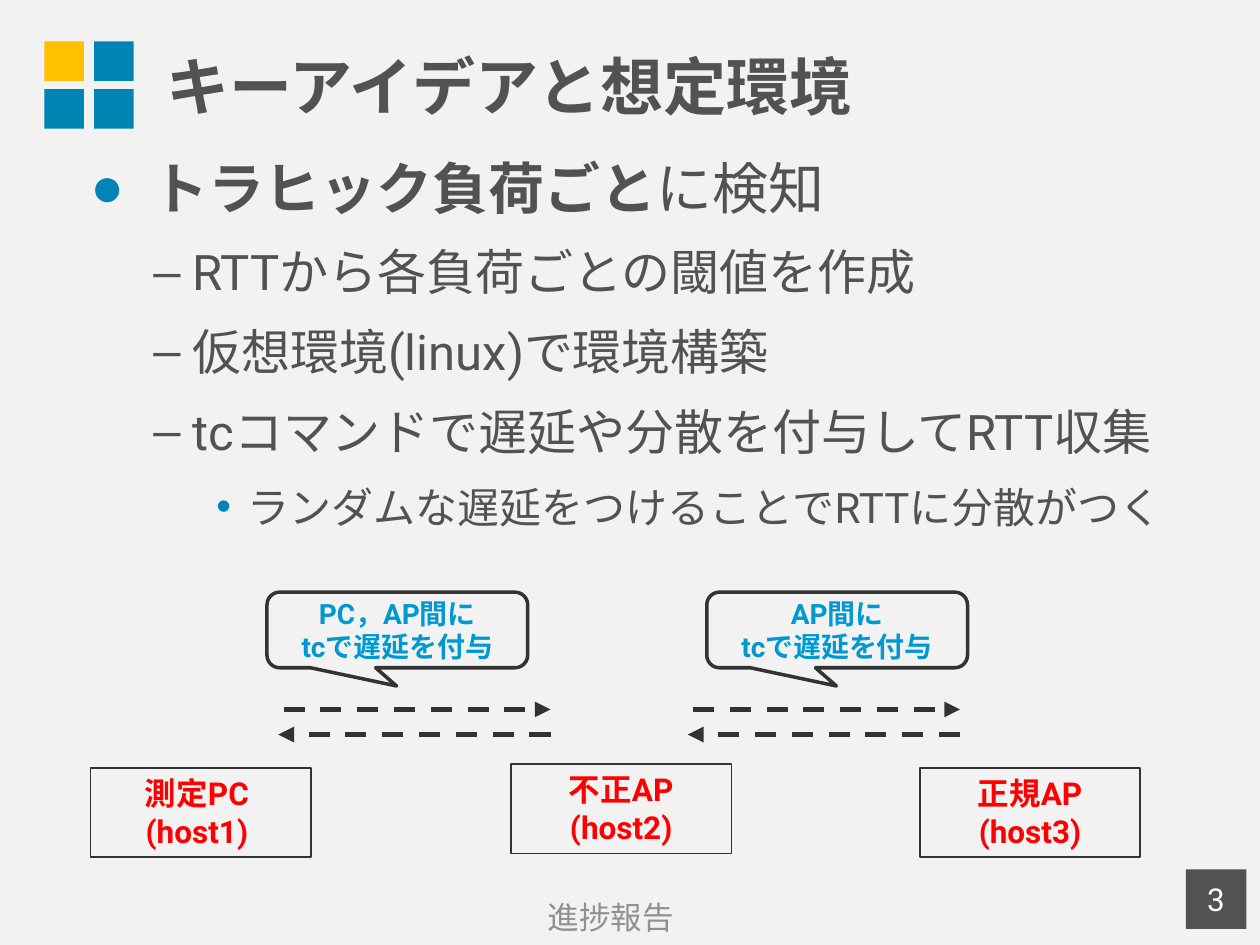
from itertools import product

from lxml.etree import SubElement
from pptx import Presentation
from pptx.dml.color import RGBColor
from pptx.enum.dml import MSO_LINE_DASH_STYLE as DASH
from pptx.enum.shapes import MSO_CONNECTOR as CONN, MSO_SHAPE as SHAPE
from pptx.enum.text import MSO_ANCHOR as ANCHOR, MSO_AUTO_SIZE as AUTO, PP_ALIGN as ALIGN
from pptx.oxml.ns import qn
from pptx.util import Pt

COLORS = {
    "back": "F2F2F2", "blue": "0084B4", "yellow": "FFC000", "text": "525252",
    "footer": "909090", "white": "FFFFFF", "border": "333333",
    "arrow": "323232", "host": "FF0000", "note": "0098D1",
}
FONT = "Roboto"


def rgb(name):
    return RGBColor.from_string(COLORS[name])


def write(p, text, size=18, color="text", bold=False, align=None):
    """Append text to a paragraph; a vertical tab makes a line break."""
    if align is not None:
        p.alignment = align
    for i, line in enumerate(text.split("\v")):
        if i:
            p.add_line_break()
        r = p.add_run()
        r.text = line
        r.font.name, r.font.size, r.font.bold = FONT, Pt(size), bold
        r.font.color.rgb = rgb(color)
        SubElement(r.font._element, qn("a:ea"), typeface=FONT)


def add_bullet(p, char, left, hanging, color=None):
    pPr = p._p.get_or_add_pPr()
    pPr.set("marL", str(Pt(left)))
    pPr.set("indent", str(-Pt(hanging)))
    if color:
        bu_color = SubElement(pPr, qn("a:buClr"))
        SubElement(bu_color, qn("a:srgbClr"), val=COLORS[color])
    SubElement(pPr, qn("a:buFont"), typeface="Arial")
    SubElement(pPr, qn("a:buChar"), char=char)


class SlideBuilder:
    def __init__(self, slide):
        self.slide = slide
        slide.background.fill.solid()
        slide.background.fill.fore_color.rgb = rgb("back")

    def shape(self, kind, x, y, w, h, fill=None, line=None, width=1):
        sp = self.slide.shapes.add_shape(kind, Pt(x), Pt(y), Pt(w), Pt(h))
        sp.shadow.inherit = False
        if fill:
            sp.fill.solid()
            sp.fill.fore_color.rgb = rgb(fill)
        else:
            sp.fill.background()
        if line:
            sp.line.color.rgb = rgb(line)
            sp.line.width = Pt(width)
        else:
            sp.line.fill.background()
        return sp

    def text_box(self, x, y, w, h, anchor=ANCHOR.MIDDLE):
        tf = self.slide.shapes.add_textbox(Pt(x), Pt(y), Pt(w), Pt(h)).text_frame
        tf.word_wrap = True
        tf.vertical_anchor = anchor
        return tf

    def bullets(self, tf, items):
        """Each item is a level and its (text, bold) runs."""
        levels = [("●", 35.3, 35.3, "blue", 32), ("–", 58.3, 22.3, None, 28),
                  ("•", 90, 18, "blue", 24)]
        for i, (level, runs) in enumerate(items):
            p = tf.add_paragraph() if i else tf.paragraphs[0]
            p.level = level
            p.space_before = Pt(12 if i else 0)
            char, left, hanging, color, size = levels[level]
            add_bullet(p, char, left, hanging, color)
            for text, bold in runs:
                write(p, text, size=size, bold=bold)

    def host(self, x, y, lines):
        sp = self.shape(SHAPE.RECTANGLE, x, y, 126, 51, line="border")
        tf = sp.text_frame
        tf.vertical_anchor = ANCHOR.TOP
        tf.auto_size = AUTO.SHAPE_TO_FIT_TEXT
        for i, line in enumerate(lines):
            p = tf.add_paragraph() if i else tf.paragraphs[0]
            write(p, line, color="host", bold=True, align=ALIGN.CENTER)

    def callout(self, x, text):
        sp = self.shape(SHAPE.ROUNDED_RECTANGULAR_CALLOUT, x, 338.4, 149, 43.2,
                        line="border", width=2)
        for i, value in enumerate((-0.003, 0.741, 0.167)):
            sp.adjustments[i] = value
        sp.text_frame.vertical_anchor = ANCHOR.MIDDLE
        write(sp.text_frame.paragraphs[0], text, size=16, color="note",
              bold=True, align=ALIGN.CENTER)

    def dashed_arrow(self, x1, x2, y):
        cxn = self.slide.shapes.add_connector(CONN.STRAIGHT, Pt(x1), Pt(y), Pt(x2), Pt(y))
        cxn.line.color.rgb = rgb("arrow")
        cxn.line.width = Pt(3)
        cxn.line.dash_style = DASH.DASH
        SubElement(cxn.line._get_or_add_ln(), qn("a:tailEnd"), type="triangle")
        SubElement(cxn._element.spPr, qn("a:effectLst"))


def main():
    prs = Presentation()
    prs.slide_width, prs.slide_height = Pt(720), Pt(540)
    s = SlideBuilder(prs.slides.add_slide(prs.slide_layouts[6]))

    for row, col in product(range(2), repeat=2):
        s.shape(SHAPE.RECTANGLE, 25.4 + 28.4 * col, 23.6 + 27.4 * row, 22.6, 22.6,
                fill="blue" if row or col else "yellow")

    title = s.text_box(87.8, 3.6, 632.2, 90)
    write(title.paragraphs[0], "キーアイデアと想定環境", size=36, bold=True)

    s.bullets(s.text_box(44.6, 84.2, 658.8, 386, anchor=ANCHOR.TOP), [
        (0, [("トラヒック負荷ごと", True), ("に検知", False)]),
        (1, [("RTTから各負荷ごとの閾値を作成", False)]),
        (1, [("仮想環境(linux)で環境構築", False)]),
        (1, [("tcコマンドで遅延や分散を付与してRTT収集", False)]),
        (2, [("ランダムな遅延をつけることでRTTに分散がつく", False)]),
    ])

    footer = s.text_box(25.2, 509.8, 647.3, 28.8)
    write(footer.paragraphs[0], "進捗報告", color="footer", align=ALIGN.CENTER)
    number = s.shape(SHAPE.RECTANGLE, 677.6, 496.8, 34.6, 34, fill="text")
    write(number.text_frame.paragraphs[0], "3", color="white", align=ALIGN.CENTER)

    for x in (162, 396):
        s.dashed_arrow(x, x + 152.6, 405.4)
        s.dashed_arrow(x + 152.6, x - 3, 419.8)

    s.callout(152.6, "PC，AP間に\vtcで遅延を付与")
    s.callout(403.9, "AP間に\vtcで遅延を付与")

    s.host(51.8, 438.7, ["測定PC ", "(host1) "])
    s.host(292, 436.7, ["不正AP", "(host2)"])
    s.host(525.6, 438.7, ["正規AP", "(host3)"])

    prs.save("out.pptx")


if __name__ == "__main__":
    main()
